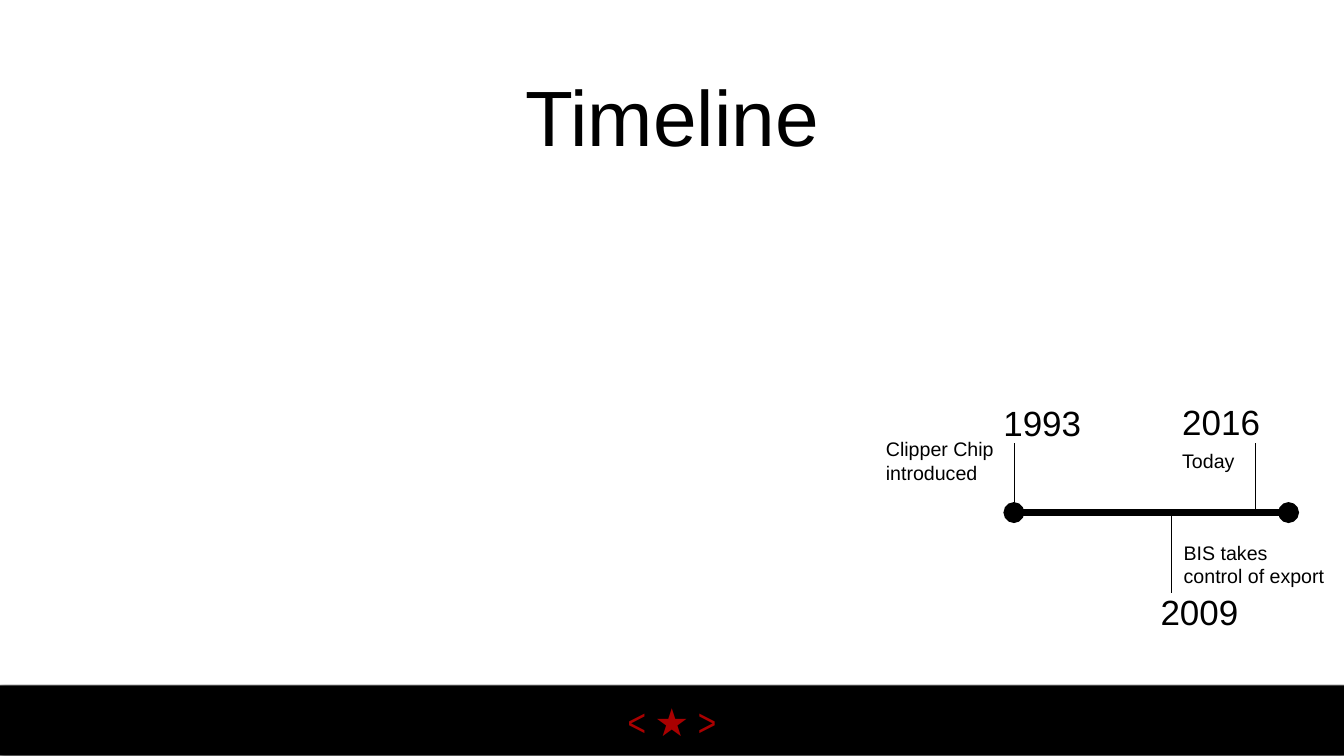
from lxml import etree
from pptx import Presentation
from pptx import util as u
from pptx.dml.color import RGBColor
from pptx.enum import shapes, text
from pptx.oxml import ns

COLORS = {"paper": "FFFFFF", "ink": "000000", "accent": "AA0000"}
AXIS_Y = 10.17
YEAR_SIZE = 50
EVENT_SIZE = 28
FRAME_FORMAT = {
    "margin_left": u.Inches(0.06),
    "margin_right": u.Inches(0.06),
    "margin_top": u.Inches(0.06),
    "margin_bottom": u.Inches(0.06),
    "vertical_anchor": text.MSO_ANCHOR.MIDDLE,
}
MARKERS = [
    (20.13, 8.79, "1993", (19.85, 7.91), ["Clipper Chip", "introduced"], (17.52, 8.61, 2.44, 1.06)),
    (23.25, 11.77, "2009", (22.97, 11.66), ["BIS takes", "control of export"], (23.43, 10.66, 2.96, 1.06)),
    (24.91, 8.78, "2016", (23.4, 7.89), ["Today"], (23.4, 8.84, 1.16, 0.58)),
]


def color(name):
    return RGBColor.from_string(COLORS[name])


def set_all(target, values):
    for name, value in values.items():
        setattr(target, name, value)


def write(box, lines, size, font="Arial", ink="ink", align=text.PP_ALIGN.LEFT,
          wrap=False, fit=text.MSO_AUTO_SIZE.SHAPE_TO_FIT_TEXT):
    frame = box.text_frame
    set_all(frame, {**FRAME_FORMAT, "word_wrap": wrap, "auto_size": fit})
    for index, line in enumerate(lines):
        para = frame.add_paragraph() if index else frame.paragraphs[0]
        para.alignment = align
        span = para.add_run()
        span.text = line
        set_all(span.font, {"name": font, "size": u.Pt(size)})
        span.font.color.rgb = color(ink)


def add_label(page, lines, area, size, **style):
    box = page.shapes.add_textbox(*map(u.Inches, area))
    write(box, lines, size, **style)


def add_line(page, start, end, width, ends=None):
    line = page.shapes.add_connector(
        shapes.MSO_CONNECTOR.STRAIGHT, *map(u.Inches, start + end))
    line.line.width = u.Pt(width)
    line.line.color.rgb = color("ink")
    if ends:
        outline = line.line._get_or_add_ln()
        for tag in ("a:headEnd", "a:tailEnd"):
            etree.SubElement(outline, ns.qn(tag), type=ends)
    etree.SubElement(line._element.spPr, ns.qn("a:effectLst"))


def add_shadow(shape):
    shape.shadow.inherit = False
    effects = shape._element.spPr.find(ns.qn("a:effectLst"))
    shadow = etree.SubElement(
        effects, ns.qn("a:outerShdw"), blurRad=str(u.Pt(3)), dist=str(u.Pt(2)),
        dir="5400000", rotWithShape="0")
    tint = etree.SubElement(shadow, ns.qn("a:srgbClr"), val=COLORS["ink"])
    etree.SubElement(tint, ns.qn("a:alpha"), val="50000")


def add_footer(page):
    bar = page.shapes.add_shape(
        shapes.MSO_SHAPE.RECTANGLE, *map(u.Inches, (0, 13.6, 26.67, 1.39)))
    bar.fill.solid()
    bar.fill.fore_color.rgb = color("ink")
    bar.line.fill.background()
    add_shadow(bar)
    add_label(page, ["< ★ >"], (12.35, 13.71, 1.97, 1.18), 55,
              font="Arial Narrow", ink="accent", align=text.PP_ALIGN.CENTER)


def add_title(page, title):
    box = page.shapes.title
    set_all(box, dict(zip(("left", "top", "width", "height"),
                          map(u.Inches, (1.85, 1.04, 22.97, 2.5)))))
    write(box, [title], 112, align=text.PP_ALIGN.CENTER, wrap=True,
          fit=text.MSO_AUTO_SIZE.NONE)


def add_timeline(page):
    add_line(page, (20.12, AXIS_Y), (25.57, AXIS_Y), 10, ends="oval")
    for x, tip, year, corner, event, area in MARKERS:
        add_line(page, (x, AXIS_Y), (x, tip), 2)
        add_label(page, [year], (*corner, 1.67, 0.94), YEAR_SIZE)
        add_label(page, event, area, EVENT_SIZE)


def main():
    deck = Presentation()
    set_all(deck, {"slide_width": u.Inches(26.67), "slide_height": u.Inches(15)})
    page = deck.slides.add_slide(deck.slide_layouts[5])
    page.background.fill.solid()
    page.background.fill.fore_color.rgb = color("paper")
    add_footer(page)
    add_title(page, "Timeline")
    add_timeline(page)
    deck.save("out.pptx")


if __name__ == "__main__":
    main()
